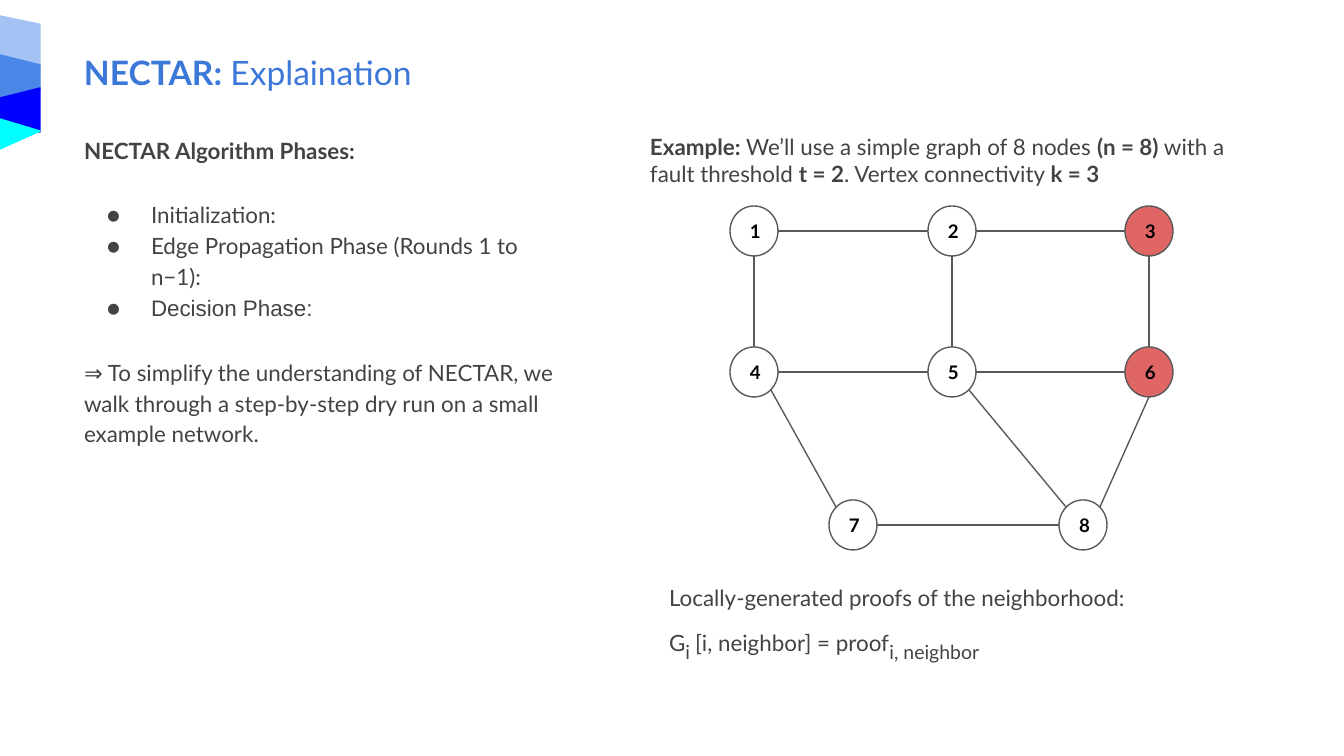
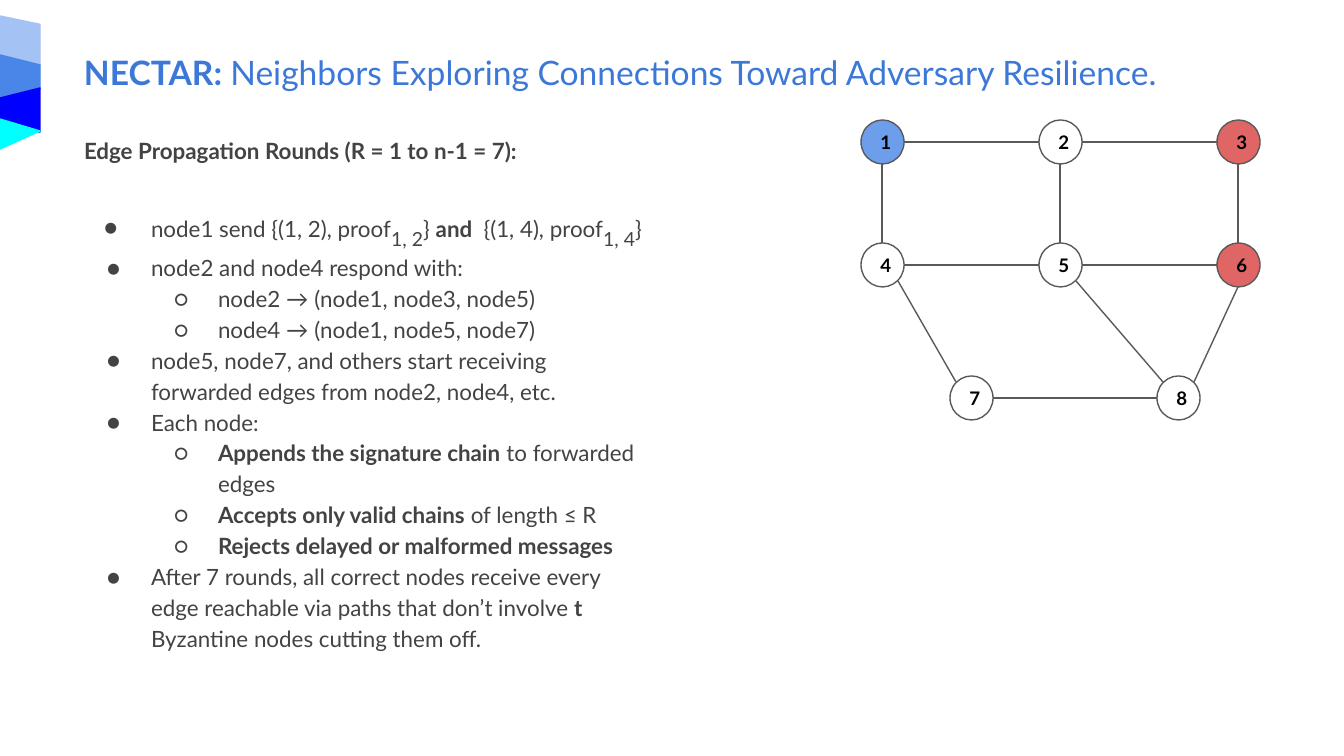
from math import sqrt

from lxml.etree import SubElement
from pptx import Presentation
from pptx.dml.color import RGBColor as RGB
from pptx.enum.shapes import MSO_CONNECTOR as CXN, MSO_SHAPE as SHAPE
from pptx.enum.text import MSO_ANCHOR as ANCHOR, PP_ALIGN as ALIGN
from pptx.oxml.ns import qn
from pptx.util import Emu, Pt

PX = 914400 / 134.4
FONT = "Lato"
INSET = 13
COLORS = {
    "title": "3C78D8", "body": "434343", "digit": "000000", "edge": "595959",
    "node": "FFFFFF", "faulty": "E06666", "sender": "6D9EEB",
    "pale": "A4C2F4", "mid": "4A86E8", "deep": "0000FF", "cyan": "00FFFF",
}

# Side bands: shape, middle y, length, rotation, adjustment, colour
BANDS = [
    (SHAPE.PARALLELOGRAM, 41, 50, 90, 0.21, "pale"),
    (SHAPE.TRAPEZOID, 77, 44, 90, 0.25, "mid"),
    (SHAPE.TRAPEZOID, 110, 44, 270, 0.25, "deep"),
    (SHAPE.ISOSCELES_TRIANGLE, 134, 30, 90, 0.4, "cyan"),
]
BAND_MIDDLE, BAND_DEPTH = 20, 40

# Offsets of the nodes from the top left one, at full scale
NODE_SIZE = (48, 50)
NODES = {
    1: (0, 0), 2: (198, 0), 3: (395, 0),
    4: (0, 141), 5: (198, 141), 6: (395, 141),
    7: (99, 294), 8: (329, 294),
}
DIAGONAL = sqrt(0.5)
SIDES = {
    "top": (0, -1), "bottom": (0, 1), "left": (-1, 0), "right": (1, 0),
    "top left": (-DIAGONAL, -DIAGONAL), "top right": (DIAGONAL, -DIAGONAL),
    "bottom right": (DIAGONAL, DIAGONAL),
}
EDGES = [(a, b, "right", "left") for a, b in [(1, 2), (2, 3), (4, 5), (5, 6), (7, 8)]]
EDGES += [(a, a + 3, "bottom", "top") for a in (1, 2, 3)]
EDGES += [(4, 7, "bottom right", "top left"), (5, 8, "bottom right", "top left"),
          (6, 8, "bottom", "top right")]


def px(n):
    return Emu(round(n * PX))


def rgb(name):
    return RGB.from_string(COLORS[name])


def add_run(p, text, style="", size=12, color="body"):
    """Style is "", "bold", "sub" (a larger subscript) or "arial"."""
    r = p.add_run()
    r.text = text
    r.font.size = Pt(18 if style == "sub" else size)
    r.font.name = "Arial" if style == "arial" else FONT
    r.font.bold = style == "bold"
    r.font.color.rgb = rgb(color)
    if style == "sub":
        r.font._element.set("baseline", "-25000")


def set_frame(tf):
    tf.word_wrap = True
    tf.margin_left = tf.margin_right = tf.margin_top = tf.margin_bottom = px(INSET)


def add_text(s, box, runs, **look):
    """Add a text box with one paragraph and return its frame."""
    tf = s.shapes.add_textbox(*map(px, box)).text_frame
    set_frame(tf)
    for run in runs:
        add_run(tf.paragraphs[0], *run, **look)
    return tf


def add_paragraph(tf, runs, before=0, after=0):
    p = tf.add_paragraph()
    p.line_spacing = 1.15
    p.space_before, p.space_after = Pt(before), Pt(after)
    for run in runs:
        add_run(p, *run)
    return p


def add_bullet(tf, runs, level=0, before=0, hang=44):
    p = add_paragraph(tf, runs, before)
    p.level = level
    pPr = p._p.get_or_add_pPr()
    pPr.set("marL", str(px(67 * (level + 1))))
    pPr.set("indent", str(px(-hang)))
    SubElement(SubElement(pPr, qn("a:buClr")), qn("a:srgbClr"), val=COLORS["body"])
    SubElement(pPr, qn("a:buFont"), typeface=FONT)
    SubElement(pPr, qn("a:buChar"), char="●○"[level])


def add_shape(s, kind, box, fill, line):
    sp = s.shapes.add_shape(kind, *map(px, box))
    sp.shadow.inherit = False
    sp.fill.solid()
    sp.fill.fore_color.rgb = rgb(fill)
    sp.line.color.rgb = rgb(line)
    sp.line.width = Pt(0.75)
    return sp


def add_edge(s, start, end):
    cx = s.shapes.add_connector(CXN.STRAIGHT, *map(px, start + end))
    cx.line.color.rgb = rgb("edge")
    cx.line.width = Pt(0.75)
    SubElement(cx._element.spPr, qn("a:effectLst"))


def add_node(s, box, number, fill):
    sp = add_shape(s, SHAPE.OVAL, box, fill, "edge")
    tf = sp.text_frame
    set_frame(tf)
    tf.vertical_anchor = ANCHOR.MIDDLE
    p = tf.paragraphs[0]
    p.alignment = ALIGN.CENTER
    add_run(p, str(number), "bold", 10, "digit")


def add_graph(s, left, top, fills, scale_x=1.0, scale_y=1.0):
    """Draw the 8-node network with node 1 at left, top."""
    w, h = round(NODE_SIZE[0] * scale_x), round(NODE_SIZE[1] * scale_y)
    corners = {n: (left + round(x * scale_x), top + round(y * scale_y))
               for n, (x, y) in NODES.items()}

    def rim(number, side):
        (x, y), (dx, dy) = corners[number], SIDES[side]
        return round(x + w / 2 * (1 + dx)), round(y + h / 2 * (1 + dy))

    for number, corner in corners.items():
        add_node(s, corner + (w, h), number, fills.get(number, "node"))
    for a, b, side_a, side_b in EDGES:
        add_edge(s, rim(a, side_a), rim(b, side_b))


def add_base(prs, title):
    """Add a slide with the shared title and side bands."""
    s = prs.slides.add_slide(prs.slide_layouts[6])
    add_text(s, (71, 39, 1210, 48), [("NECTAR: ", "bold"), (title,)],
             size=18, color="title")
    for kind, middle, length, rotation, adjust, color in BANDS:
        box = (BAND_MIDDLE - length // 2, middle - BAND_DEPTH // 2, length, BAND_DEPTH)
        sp = add_shape(s, kind, box, color, color)
        sp.rotation = rotation
        sp.adjustments[0] = adjust
    return s


def add_body(s, width, height, heading):
    tf = add_text(s, (71, 120, width, height), [(heading, "bold")])
    tf.paragraphs[0].line_spacing = 1.15
    return tf


def build_explanation(prs):
    s = add_base(prs, "Explaination")
    tf = add_body(s, 508, 366, "NECTAR Algorithm Phases:")
    add_bullet(tf, [("Initialization:",)], before=18)
    add_bullet(tf, [("Edge Propagation Phase (Rounds 1 to n−1):",)])
    add_bullet(tf, [("Decision Phase:", "arial")])
    add_paragraph(tf, [("⇒ To simplify the understanding of NECTAR, we walk through "
                        "a step-by-step dry run on a small example network.",)], 18, 4)
    add_text(s, (637, 120, 645, 78), [
        ("Example: ", "bold"), ("We’ll use a simple graph of 8 nodes ",),
        ("(n = 8)", "bold"), (" with a fault threshold ",), ("t = 2", "bold"),
        (". Vertex connectivity ",), ("k = 3", "bold")])
    add_graph(s, 730, 206, {3: "faulty", 6: "faulty"})
    proofs = add_text(s, (656, 567, 508, 99), [
        ("Locally-generated proofs of the neighborhood: G",), ("i ", "sub"),
        ("[i, neighbor] = proof",), ("i, neighbor", "sub")])
    proofs.paragraphs[0].line_spacing = 1.15


def build_propagation(prs):
    s = add_base(prs, "Neighbors Exploring Connections Toward Adversary Resilience.")
    tf = add_body(s, 589, 575, "Edge Propagation Rounds (R = 1 to n-1 = 7):")
    add_bullet(tf, [("node1 send {(1, 2), proof",), ("1, 2", "sub"), ("} ",),
                    ("and ", "bold"), (" {(1, 4), proof",), ("1, 4", "sub"), ("}",)],
               before=18, hang=47)
    for level, *runs in [
        (0, ("node2 and node4 respond with:",)),
        (1, ("node2 → (node1, node3, node5)",)),
        (1, ("node4 → (node1, node5, node7)",)),
        (0, ("node5, node7, and others start receiving forwarded edges "
             "from node2, node4, etc.",)),
        (0, ("Each node:",)),
        (1, ("Appends the signature chain", "bold"), (" to forwarded edges",)),
        (1, ("Accepts only valid chains", "bold"), (" of length ≤ R",)),
        (1, ("Rejects delayed or malformed messages", "bold")),
        (0, ("After 7 rounds, all correct nodes receive every edge reachable "
             "via paths that don’t involve",), (" t ", "bold"),
            ("Byzantine nodes cutting them off.",)),
    ]:
        add_bullet(tf, runs, level)
    add_graph(s, 861, 120, {1: "sender", 3: "faulty", 6: "faulty"}, 0.9, 0.87)


def main():
    prs = Presentation()
    prs.slide_width, prs.slide_height = px(1344), px(756)
    build_explanation(prs)
    build_propagation(prs)
    prs.save("out.pptx")


if __name__ == "__main__":
    main()
